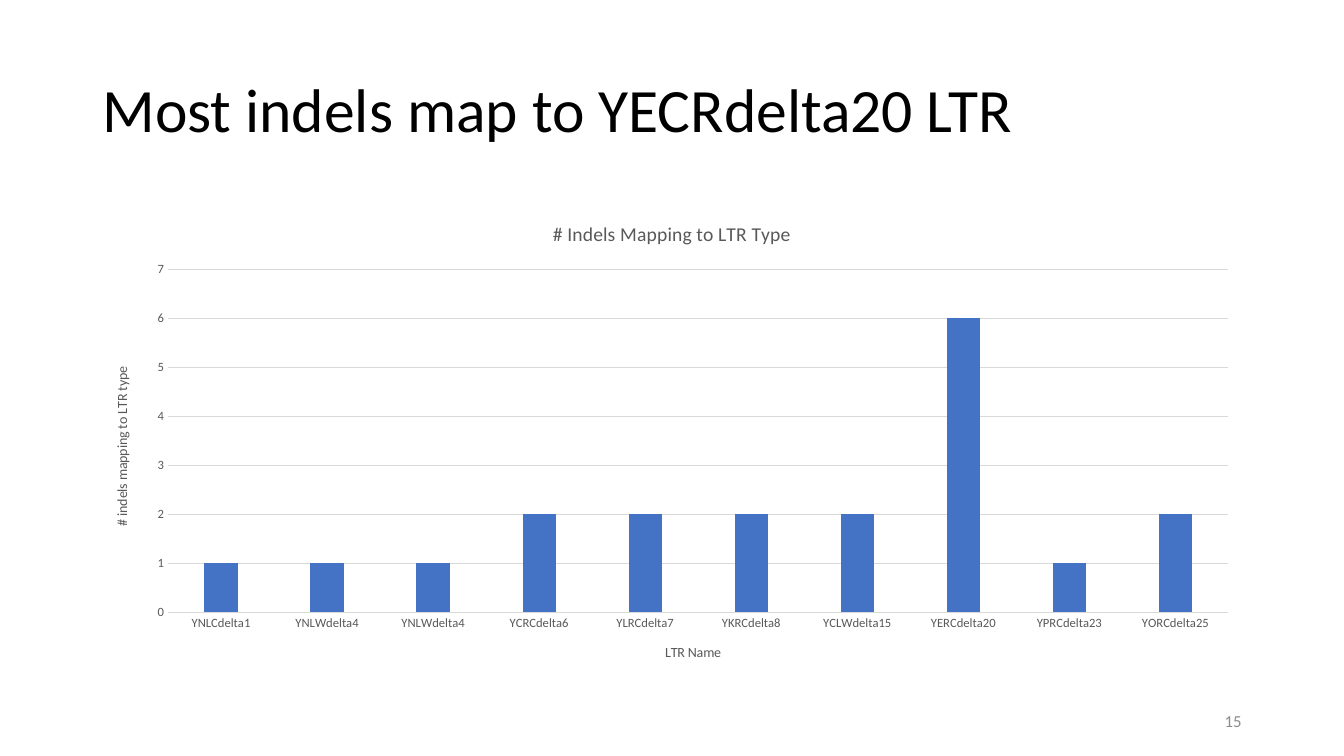
from pptx import Presentation
from pptx import util as u
from pptx.chart.data import CategoryChartData
from pptx.dml.color import RGBColor
from pptx.enum import chart as ch, text

PX = 9525  # EMU per px, for a slide of 1280 x 720 px
FONT = "Calibri"
BLACK = RGBColor(0x00, 0x00, 0x00)
LABEL_GRAY = RGBColor(0x59, 0x59, 0x59)
PAGE_GRAY = RGBColor(0x8C, 0x8C, 0x8C)
GRID_GRAY = RGBColor(0xD9, 0xD9, 0xD9)
BAR_BLUE = RGBColor(0x44, 0x72, 0xC4)

INDELS_BY_LTR = [
    ("YNLCdelta1", 1), ("YNLWdelta4", 1), ("YNLWdelta4", 1), ("YCRCdelta6", 2),
    ("YLRCdelta7", 2), ("YKRCdelta8", 2), ("YCLWdelta15", 2), ("YERCdelta20", 6),
    ("YPRCdelta23", 1), ("YORCdelta25", 2),
]


def px(*lengths):
    return [u.Emu(length * PX) for length in lengths]


def style_font(font, size, color):
    font.name = FONT
    font.size = u.Pt(size)
    font.bold = False
    font.color.rgb = color


def style_line(line, color):
    line.color.rgb = color
    line.width = u.Pt(0.75)


def fill_text(box, words, size, color, align):
    frame = box.text_frame
    frame.word_wrap = True
    frame.auto_size = text.MSO_AUTO_SIZE.NONE
    frame.vertical_anchor = text.MSO_ANCHOR.MIDDLE
    para = frame.paragraphs[0]
    para.text = words
    para.alignment = align
    style_font(para.font, size, color)
    return para


def add_title(page, words):
    title = page.shapes.title
    title.left, title.top, title.width, title.height = px(88, 38, 1104, 139)
    para = fill_text(title, words, 44, BLACK, text.PP_ALIGN.LEFT)
    para.line_spacing = 0.9


def set_chart_text(frame, words, size):
    para = frame.paragraphs[0]
    para.text = words
    style_font(para.font, size, LABEL_GRAY)


def style_axis(axis, words):
    axis.major_tick_mark = axis.minor_tick_mark = ch.XL_TICK_MARK.NONE
    style_font(axis.tick_labels.font, 9, LABEL_GRAY)
    set_chart_text(axis.axis_title.text_frame, words, 10)


def add_indel_chart(page):
    data = CategoryChartData()
    data.categories = [name for name, count in INDELS_BY_LTR]
    data.add_series("Series 1", [count for name, count in INDELS_BY_LTR])
    chart = page.shapes.add_chart(
        ch.XL_CHART_TYPE.COLUMN_CLUSTERED, *px(88, 192, 1104, 457), data).chart
    style_font(chart.font, 10, BLACK)
    chart.has_legend = False
    chart.has_title = True
    set_chart_text(chart.chart_title.text_frame, "# Indels Mapping to LTR Type", 14)

    # Bars
    plot = chart.plots[0]
    plot.vary_by_categories = False
    plot.gap_width = 219
    plot.overlap = -27
    bars = plot.series[0].format.fill
    bars.solid()
    bars.fore_color.rgb = BAR_BLUE

    # Axes
    names, counts = chart.category_axis, chart.value_axis
    style_axis(names, "LTR Name")
    style_line(names.format.line, GRID_GRAY)
    style_axis(counts, "# indels mapping to LTR type")
    counts.axis_title.text_frame._txBody.bodyPr.set("rot", "-5400000")
    counts.minimum_scale, counts.maximum_scale, counts.major_unit = 0, 7, 1
    counts.format.line.fill.background()
    style_line(counts.major_gridlines.format.line, GRID_GRAY)


def add_page_number(page, number):
    box = page.shapes.add_textbox(*px(904, 667, 288, 38))
    fill_text(box, number, 12, PAGE_GRAY, text.PP_ALIGN.RIGHT)


def main():
    deck = Presentation()
    deck.slide_width, deck.slide_height = px(1280, 720)
    page = deck.slides.add_slide(deck.slide_layouts.get_by_name("Title Only"))
    add_title(page, "Most indels map to YECRdelta20 LTR")
    add_indel_chart(page)
    add_page_number(page, "15")
    deck.save("out.pptx")


if __name__ == "__main__":
    main()
